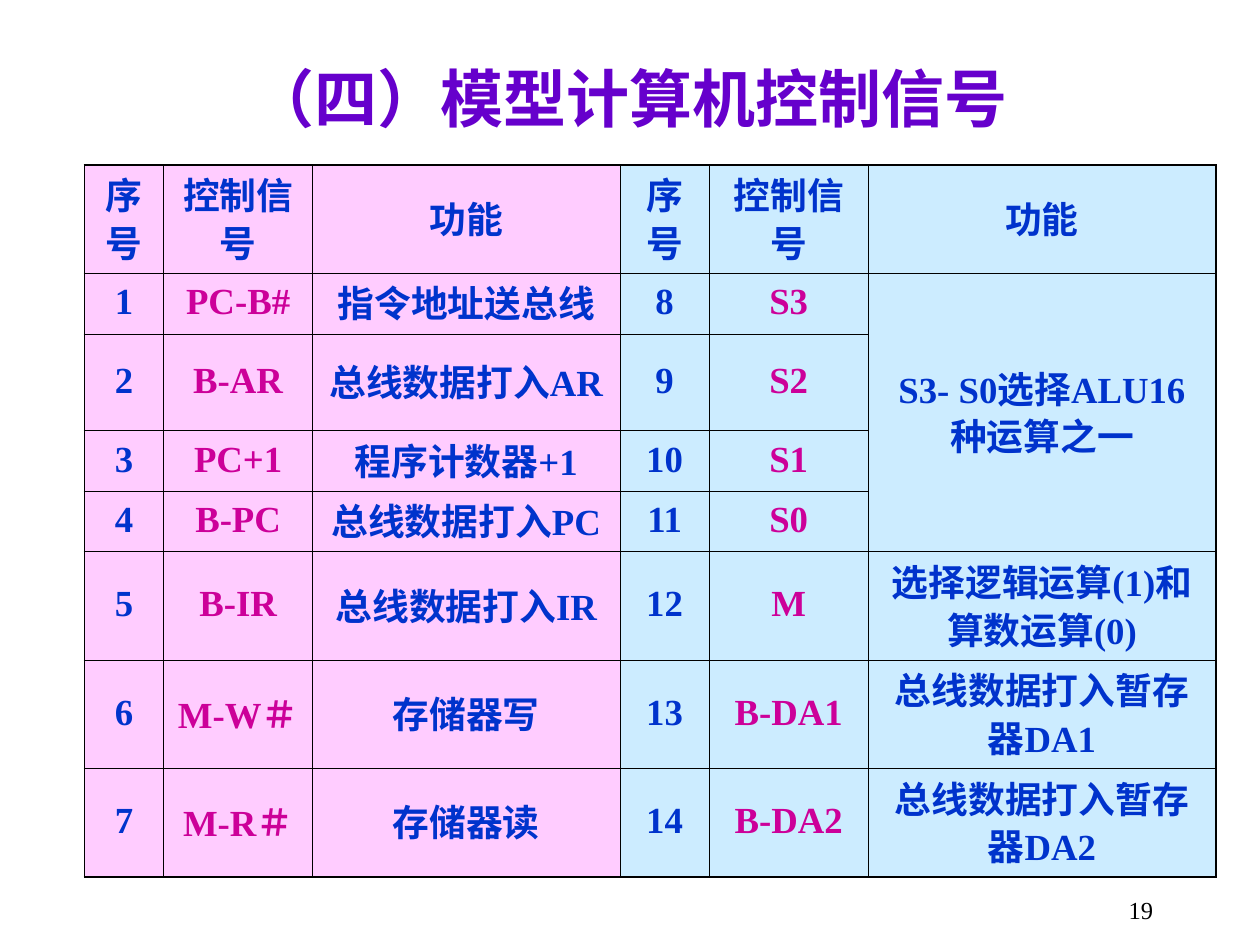
from dataclasses import dataclass

from lxml import etree
from pptx import Presentation
from pptx import util as u
from pptx.dml.color import RGBColor
from pptx.enum import text
from pptx.oxml.ns import qn


@dataclass(frozen=True)
class Theme:
    font: str = "Times New Roman"
    title: str = "6600CC"
    body: str = "0033CC"
    signal: str = "CC0099"
    ink: str = "000000"
    left_fill: str = "FFCCFF"
    right_fill: str = "CCECFF"
    title_size: int = 36
    table_size: int = 21
    number_size: int = 14
    outer_line: float = 1.08
    inner_line: float = 0.45


THEME = Theme()

COLUMN_WIDTHS = [0.63, 1.18, 2.44, 0.71, 1.26, 2.76]
ROW_HEIGHTS = [0.86, 0.48, 0.77, 0.48, 0.48, 0.86, 0.86, 0.86]
HEADER = ["序号", "控制信号", "功能"]
LEFT_SIGNALS = [
    ("PC-B#", "指令地址送总线"),
    ("B-AR", "总线数据打入AR"),
    ("PC+1", "程序计数器+1"),
    ("B-PC", "总线数据打入PC"),
    ("B-IR", "总线数据打入IR"),
    ("M-W＃", "存储器写"),
    ("M-R＃", "存储器读"),
]
RIGHT_SIGNALS = [
    ("S3", "S3- S0选择ALU16种运算之一"),
    ("S2", ""),
    ("S1", ""),
    ("S0", ""),
    ("M", "选择逻辑运算(1)和算数运算(0)"),
    ("B-DA1", "总线数据打入暂存器DA1"),
    ("B-DA2", "总线数据打入暂存器DA2"),
]


def write_text(frame, content, *, size, color, bold=False,
               align=text.PP_ALIGN.CENTER, line_spacing=None, space_after=None):
    frame.word_wrap = True
    paragraph = frame.paragraphs[0]
    paragraph.alignment = align
    if line_spacing:
        paragraph.line_spacing = line_spacing
    if space_after:
        paragraph.space_after = u.Pt(space_after)
    run = paragraph.add_run()
    run.text = content
    run.font.name = THEME.font
    run.font.size = u.Pt(size)
    run.font.bold = bold
    run.font.color.rgb = RGBColor.from_string(color)


def add_label(slide, content, box, anchor=text.MSO_ANCHOR.TOP, **text_format):
    shape = slide.shapes.add_textbox(*map(u.Inches, box))
    shape.text_frame.vertical_anchor = anchor
    write_text(shape.text_frame, content, **text_format)


def set_borders(cell, outer_sides):
    properties = cell._tc.get_or_add_tcPr()
    for side in "LRTB":
        width = THEME.outer_line if side in outer_sides else THEME.inner_line
        line = etree.SubElement(properties, qn(f"a:ln{side}"), w=str(u.Pt(width)))
        fill = etree.SubElement(line, qn("a:solidFill"))
        etree.SubElement(fill, qn("a:srgbClr"), val=THEME.ink)


def style_cell(cell, content, color, fill, outer_sides):
    set_borders(cell, outer_sides)
    cell.fill.solid()
    cell.fill.fore_color.rgb = RGBColor.from_string(fill)
    cell.vertical_anchor = text.MSO_ANCHOR.MIDDLE
    cell.margin_left = cell.margin_right = u.Inches(0.1)
    cell.margin_top = cell.margin_bottom = u.Inches(0.05)
    write_text(cell.text_frame, content, size=THEME.table_size, color=color,
               bold=True, line_spacing=0.9, space_after=5.2)


def signal_rows():
    rows = [HEADER * 2]
    for number, (left, right) in enumerate(zip(LEFT_SIGNALS, RIGHT_SIGNALS), 1):
        rows.append([str(number), *left, str(number + len(LEFT_SIGNALS)), *right])
    return rows


def add_signal_table(slide):
    rows = signal_rows()
    last_row, last_column = len(rows) - 1, len(COLUMN_WIDTHS) - 1
    frame = slide.shapes.add_table(
        len(rows), len(COLUMN_WIDTHS), u.Inches(0.67), u.Inches(1.31),
        u.Inches(sum(COLUMN_WIDTHS)), u.Inches(sum(ROW_HEIGHTS)))
    table = frame.table
    table.first_row = table.horz_banding = False
    for column, width in zip(table.columns, COLUMN_WIDTHS):
        column.width = u.Inches(width)
    for row, height in zip(table.rows, ROW_HEIGHTS):
        row.height = u.Inches(height)

    # S3 to S0 share one description
    table.cell(1, last_column).merge(table.cell(4, last_column))

    for i, row in enumerate(rows):
        for j, content in enumerate(row):
            cell = table.cell(i, j)
            if cell.is_spanned:
                continue
            edges = {"L": j == 0, "R": j == last_column,
                     "T": i == 0, "B": i == last_row}
            style_cell(
                cell, content,
                color=THEME.signal if i > 0 and j % 3 == 1 else THEME.body,
                fill=THEME.left_fill if j < 3 else THEME.right_fill,
                outer_sides=[side for side, outer in edges.items() if outer])


def main():
    presentation = Presentation()
    presentation.slide_width = u.Inches(10)
    presentation.slide_height = u.Inches(7.5)
    slide = presentation.slides.add_slide(presentation.slide_layouts[6])

    # Page number
    add_label(slide, "19", (7.17, 7.05, 2.08, 0.28), size=THEME.number_size,
              color=THEME.ink, align=text.PP_ALIGN.RIGHT)

    # Title
    add_label(slide, "（四）模型计算机控制信号", (0.75, 0.37, 8.5, 0.8),
              anchor=text.MSO_ANCHOR.MIDDLE, size=THEME.title_size,
              color=THEME.title, bold=True)

    # Control signals
    add_signal_table(slide)

    presentation.save("out.pptx")


if __name__ == "__main__":
    main()
